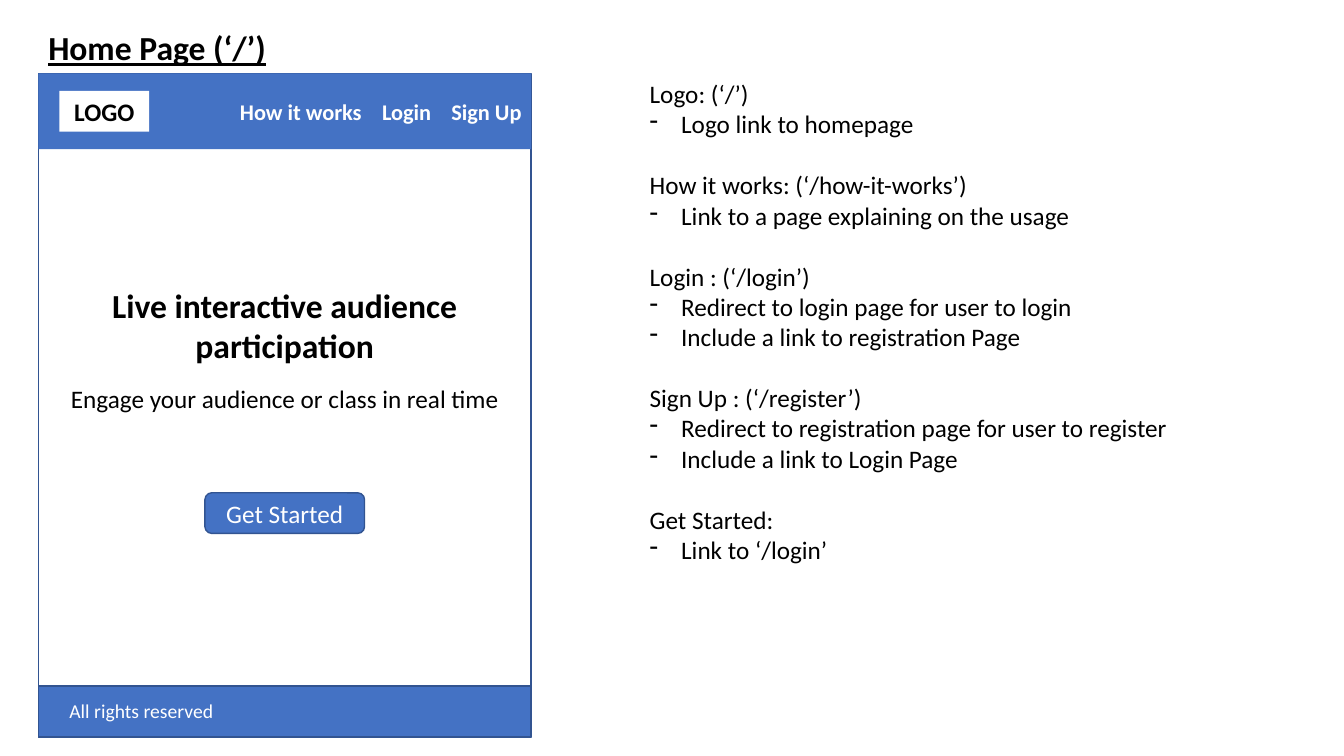
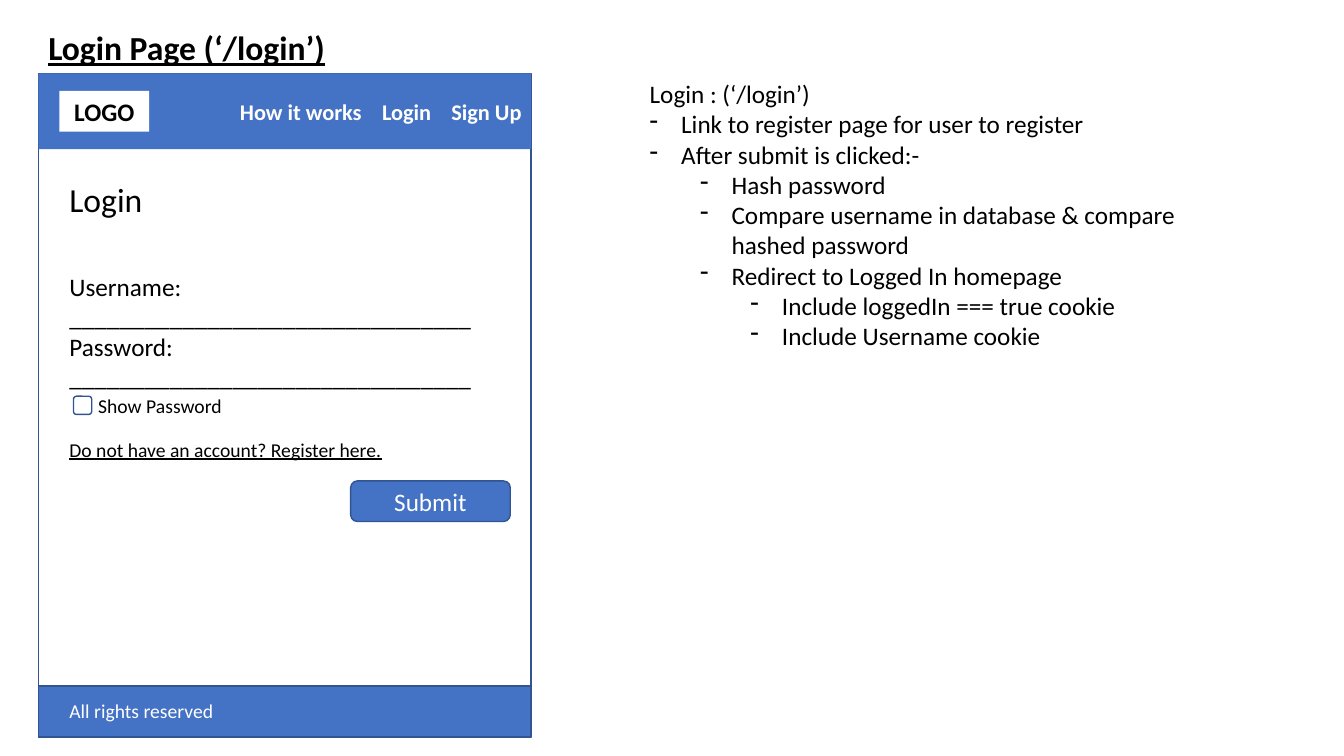
from lxml.etree import SubElement
from pptx import Presentation
from pptx.dml.color import RGBColor
from pptx.enum.shapes import MSO_SHAPE as SHAPE
from pptx.enum.text import MSO_ANCHOR as ANCHOR, PP_ALIGN as ALIGN
from pptx.oxml.ns import qn
from pptx.util import Pt

BLUE, EDGE, WHITE, BLACK = "4472C4", "325491", "FFFFFF", "000000"
LEFT, TOP, WIDTH, HEIGHT = 27.4, 52.5, 352, 474  # page frame
PAD_LEFT = 42.5  # left edge of content inside the frame
BUTTON = (114, 29)
HANG, STEP, LINE = 22.5, 36, 22  # bullet hang, level step, line height


def rgb(value):
    """Turn a hex string into a colour."""
    return RGBColor.from_string(value)


class Wireframe:
    """Page wireframes with notes beside them."""

    font = "Calibri"

    def __init__(self):
        """Start an empty widescreen deck."""
        self.prs = Presentation()
        self.prs.slide_width, self.prs.slide_height = Pt(960), Pt(540)
        self.s = None

    def add_run(self, p, text, size=18, color=BLACK, align=ALIGN.LEFT, **fmt):
        """Put one formatted run into a paragraph."""
        p.alignment = align
        r = p.add_run()
        r.text = text
        fmt.update(name=self.font, size=Pt(size))
        for key, value in fmt.items():
            setattr(r.font, key, value)
        r.font.color.rgb = rgb(color)

    def text(self, x, y, w, h, lines, **fmt):
        """Add a text box with one paragraph per line."""
        tf = self.s.shapes.add_textbox(Pt(x), Pt(y), Pt(w), Pt(h)).text_frame
        tf.word_wrap = True
        for i, line in enumerate(lines):
            p = tf.add_paragraph() if i else tf.paragraphs[0]
            self.add_run(p, line, **fmt)
        return tf

    def box(self, x, y, w, h, fill=None, line=None, kind=SHAPE.RECTANGLE, text="", **fmt):
        """Add a flat shape, with text in the middle if given."""
        sp = self.s.shapes.add_shape(kind, Pt(x), Pt(y), Pt(w), Pt(h))
        sp.shadow.inherit = False
        if fill:
            sp.fill.solid()
            sp.fill.fore_color.rgb = rgb(fill)
        else:
            sp.fill.background()
        if line:
            sp.line.color.rgb = rgb(line)
            sp.line.width = Pt(1)
        else:
            sp.line.fill.background()
        if text:
            sp.text_frame.vertical_anchor = ANCHOR.MIDDLE
            self.add_run(sp.text_frame.paragraphs[0], text, **fmt)
        return sp

    def button(self, x, y, label):
        """Add a rounded button."""
        self.box(x, y, *BUTTON, BLUE, EDGE, SHAPE.ROUNDED_RECTANGLE, label,
                 color=WHITE, align=ALIGN.CENTER)

    def nav(self, items, start, stops):
        """Add the header band, its menu set on tab stops from start."""
        band = self.box(LEFT, TOP, WIDTH, 54, BLUE, text="\t".join(items),
                        size=16, color=WHITE, bold=True)
        tf = band.text_frame
        tf.margin_left, tf.margin_right = Pt(start), 0
        tabs = SubElement(tf.paragraphs[0]._p.get_or_add_pPr(), qn("a:tabLst"))
        for stop in stops:
            SubElement(tabs, qn("a:tab"), pos=str(Pt(stop)), algn="l")

    def notes(self, items):
        """Add notes from (level, text); level 0 is a heading, others are bulleted."""
        tf = self.text(457, TOP, 435, LINE * len(items) + 8, [t for _, t in items])
        for i, (p, (level, _)) in enumerate(zip(tf.paragraphs, items)):
            if level:
                p.level = level - 1
                pPr = p._p.get_or_add_pPr()
                pPr.set("marL", str(Pt(HANG + STEP * (level - 1))))
                pPr.set("indent", str(Pt(-HANG)))
                SubElement(pPr, qn("a:buFontTx"))
                SubElement(pPr, qn("a:buChar"), char="-")
            elif i:
                p.space_before = Pt(LINE)

    def page(self, title):
        """Start a slide with title, frame, header and footer."""
        self.s = self.prs.slides.add_slide(self.prs.slide_layouts[6])
        self.box(LEFT, TOP, WIDTH, HEIGHT, line=EDGE)
        self.text(LEFT, 16, 280, 36, [title], size=24, bold=True, underline=True)
        self.nav(["How it works", "Login", "Sign Up"], 144, [101.5, 151])
        self.box(PAD_LEFT, 65, 64, 29, WHITE, text="LOGO", bold=True, align=ALIGN.CENTER)
        self.box(LEFT, TOP + HEIGHT - 36.5, WIDTH, 36.5, BLUE, EDGE)
        self.text(PAD_LEFT, 496, 140, 24, ["All rights reserved"], size=14, color=WHITE)


def home(deck):
    """Build the home page."""
    deck.page("Home Page (‘/’)")
    deck.notes([
        (0, "Logo: (‘/’)"),
        (1, "Logo link to homepage"),
        (0, "How it works: (‘/how-it-works’)"),
        (1, "Link to a page explaining on the usage"),
        (0, "Login : (‘/login’)"),
        (1, "Redirect to login page for user to login"),
        (1, "Include a link to registration Page"),
        (0, "Sign Up : (‘/register’)"),
        (1, "Redirect to registration page for user to register"),
        (1, "Include a link to Login Page"),
        (0, "Get Started:"),
        (1, "Link to ‘/login’"),
    ])
    deck.button(LEFT + (WIDTH - BUTTON[0]) / 2, 352, "Get Started")
    deck.text(LEFT, 200, WIDTH, 65.5, ["Live interactive audience participation"],
              size=24, bold=True, align=ALIGN.CENTER)
    deck.text(LEFT, 270, WIDTH, 29, ["Engage your audience or class in real time"],
              align=ALIGN.CENTER)


def login(deck):
    """Build the login page."""
    deck.page("Login Page (‘/login’)")
    deck.text(PAD_LEFT, 124.5, 322, 36, ["Login"], size=24)
    blank = "_" * 32
    deck.text(PAD_LEFT, 190, 305, 94.5, ["Username:", blank, "Password:", blank])
    deck.box(52.5, 283, 13, 13, line=EDGE, kind=SHAPE.ROUNDED_RECTANGLE)
    deck.text(63, 278, 115, 24, ["Show Password"], size=14)
    deck.text(PAD_LEFT, 309, 258, 24, ["Do not have an account? Register here."],
              size=14, underline=True)
    deck.button(250.5, 343.5, "Submit")
    deck.notes([
        (0, "Login : (‘/login’)"),
        (1, "Link to register page for user to register"),
        (1, "After submit is clicked:-"),
        (2, "Hash password"),
        (2, "Compare username in database & compare hashed password"),
        (2, "Redirect to Logged In homepage"),
        (3, "Include loggedIn === true cookie"),
        (3, "Include Username cookie"),
    ])


deck = Wireframe()
home(deck)
login(deck)
deck.prs.save("out.pptx")
